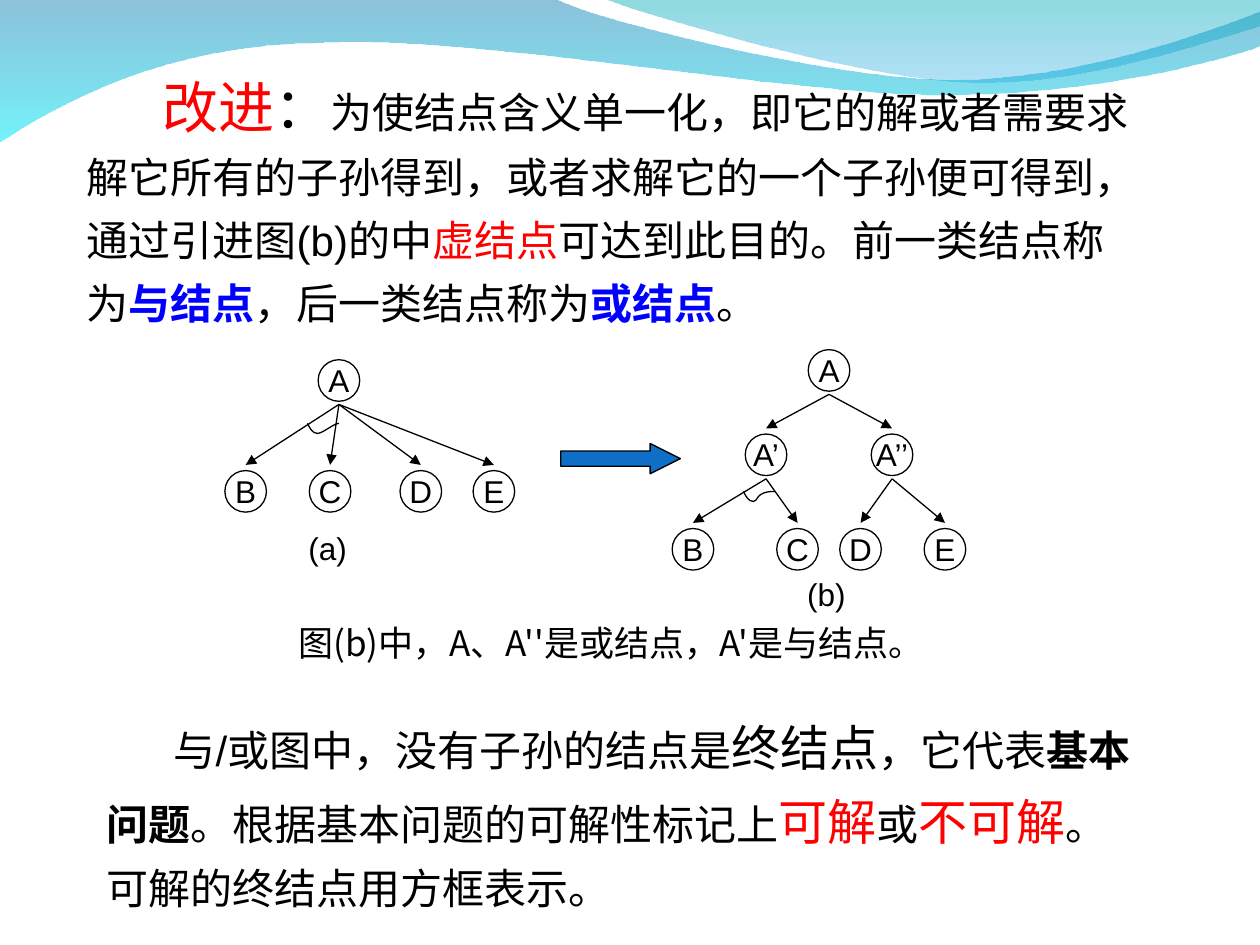
from lxml.etree import SubElement
from pptx import Presentation
from pptx.dml.color import RGBColor
from pptx.enum.shapes import MSO_CONNECTOR, MSO_SHAPE
from pptx.enum.text import MSO_ANCHOR, PP_ALIGN
from pptx.oxml.ns import qn
from pptx.util import Inches, Pt

COLORS = {"black": "000000", "red": "FF0000", "blue": "0000FF", "arrow": "0F6FC6",
          "wave_top": "0079AF", "wave_bottom": "00EBF8",
          "crest_top": "00ADB6", "crest_bottom": "009BE5"}
LATIN, CHINESE = "Arial", "Noto Sans CJK SC"

# Outlines: a start point, then segments of one point (line) or three (curve)
# Gradient stops: colour, opacity in percent
WAVES = [
    ([(0, -0.01), [(4.4, -0.01)],
      [(4.76, 0.17), (6.64, 0.63), (7.58, 0.63)],
      [(8.53, 0.63), (9.58, 0.26), (10, 0.09)], [(10.01, 0.36)],
      [(9.83, 0.44), (8.7, 0.76), (7.46, 0.75)],
      [(6.22, 0.75), (3.82, 0.28), (2.57, 0.34)],
      [(1.29, 0.35), (0.46, 0.83), (-0.01, 1.13)]],
     [("wave_top", 45), ("wave_bottom", 55)]),
    ([(4.79, -0.01),
      [(5.09, 0.11), (6.82, 0.62), (7.69, 0.65)],
      [(8.56, 0.69), (9.61, 0.32), (10, 0.21)], [(10, 0)]],
     [("crest_top", 45), ("crest_bottom", 30)]),
]

# Trees: node centres by label, edges, arc that marks the AND node, caption
TREES = [
    {"nodes": {"A": (2.69, 3.02), "B": (1.95, 3.9), "C": (2.62, 3.9),
               "D": (3.34, 3.9), "E": (3.92, 3.9)},
     "edges": [("A", "C"), ("A", "D"), ("A", "E"), ("A", "B")],
     "arc": [(2.44, 3.36), [(2.46, 3.4), (2.48, 3.44), (2.52, 3.44)],
             [(2.56, 3.44), (2.65, 3.36), (2.69, 3.36)]],
     "caption": ("(a)", 2.35, 4.15)},
    {"nodes": {"A": (6.58, 2.94), "A’": (6.08, 3.61), "A’’": (7.08, 3.61),
               "B": (5.5, 4.36), "C": (6.33, 4.36), "D": (6.83, 4.36), "E": (7.5, 4.36)},
     "edges": [("A", "A’"), ("A", "A’’"), ("A’", "B"), ("A’", "C"),
               ("A’’", "D"), ("A’’", "E")],
     "arc": [(5.9, 3.9), [(5.92, 3.94), (5.94, 3.98), (5.98, 3.98)],
             [(6.02, 3.98), (5.99, 3.9), (6.15, 3.9)]],
     "caption": ("(b)", 6.31, 4.52)},
]
NODE_SIZE, GAP_BELOW, GAP_ABOVE = 0.33, 0.19, 0.21

# Runs: text, size, latin font, colour, bold
IMPROVEMENT = [
    ("改进", 32, CHINESE, "red", False),
    ("：", 32, CHINESE, "black", False),
    ("为使结点含义单一化，即它的解或者需要求解它所有的子孙得到，或者求解它的一个子孙便可得到，"
     "通过引进图(b)的中", 24, LATIN, "black", False),
    ("虚结点", 24, CHINESE, "red", False),
    ("可达到此目的。前一类结点称为", 24, LATIN, "black", False),
    ("与结点", 24, LATIN, "blue", True),
    ("，后一类结点称为", 24, LATIN, "black", False),
    ("或结点", 24, LATIN, "blue", True),
    ("。", 24, LATIN, "black", False),
]
FIGURE_NOTE = [("图(b)中，A、A''是或结点，A'是与结点。", 20, CHINESE, "black", False)]
TERMINAL_NODES = [
    ("与/或图中，没有子孙的结点是", 24, LATIN, "black", False),
    ("终结点", 28, CHINESE, "black", False),
    ("，它代表", 24, LATIN, "black", False),
    ("基本问题", 24, LATIN, "black", True),
    ("。根据基本问题的可解性标记上", 24, LATIN, "black", False),
    ("可解", 28, CHINESE, "red", False),
    ("或", 24, LATIN, "black", False),
    ("不可解", 28, CHINESE, "red", False),
    ("。可解的终结点用方框表示。", 24, LATIN, "black", False),
]
# Text blocks: runs, place, first-line indent, line spacing
BLOCKS = [(IMPROVEMENT, (0.59, 0.39, 8.58, 2.27), 0.6, 1.25),
          (FIGURE_NOTE, (2.27, 4.88, 6.61, 0.44), 0, 1.0),
          (TERMINAL_NODES, (0.75, 5.53, 8.35, 1.77), 0.53, 1.25)]


def color(name):
    return RGBColor.from_string(COLORS[name])


def outline(shape):
    shape.shadow.inherit = False
    shape.line.color.rgb = color("black")
    shape.line.width = Pt(0.75)


def draw_freeform(page, start, segments, close):
    builder = page.shapes.build_freeform(Inches(start[0]), Inches(start[1]))
    builder.add_line_segments([(Inches(x), Inches(y)) for segment in segments
                               for x, y in segment], close=close)
    shape = builder.convert_to_shape()
    shape.shadow.inherit = False
    # Join the three points of each curve into one Bezier segment
    lines = iter(list(shape._element.iter(qn("a:lnTo"))))
    for segment in segments:
        first, *others = [next(lines) for point in segment]
        if others:
            curve = first.makeelement(qn("a:cubicBezTo"))
            first.addprevious(curve)
            for line in (first, *others):
                curve.append(line[0])
                line.getparent().remove(line)
    return shape


def draw_wave(page, points, stops):
    wave = draw_freeform(page, points[0], points[1:], True)
    wave.line.fill.background()
    wave.fill.gradient()
    wave.fill.gradient_angle = 270
    for stop, (name, opacity) in zip(wave.fill.gradient_stops, stops):
        stop.color.rgb = color(name)
    for tint, (name, opacity) in zip(wave._element.spPr.iter(qn("a:srgbClr")), stops):
        SubElement(tint, qn("a:alpha"), val=str(opacity * 1000))


def write_runs(paragraph, runs):
    for text, size, latin, name, bold in runs:
        span = paragraph.add_run()
        span.text = text
        span.font.size = Pt(size)
        span.font.bold = bold
        span.font.color.rgb = color(name)
        span.font.name = latin
        SubElement(span._r.get_or_add_rPr(), qn("a:ea"), typeface=CHINESE)


def write_label(shape, text):
    frame = shape.text_frame
    frame.word_wrap = False
    frame.margin_left = frame.margin_right = frame.margin_top = 0
    frame.margin_bottom = Inches(0.01)
    frame.vertical_anchor = MSO_ANCHOR.MIDDLE
    frame.paragraphs[0].alignment = PP_ALIGN.CENTER
    write_runs(frame.paragraphs[0], [(text, 18, LATIN, "black", False)])


def draw_tree(page, tree):
    nodes = tree["nodes"]
    for label, (x, y) in nodes.items():
        node = page.shapes.add_shape(MSO_SHAPE.OVAL, Inches(x - NODE_SIZE / 2),
                                     Inches(y - NODE_SIZE / 2), Inches(NODE_SIZE),
                                     Inches(NODE_SIZE))
        node.fill.background()
        outline(node)
        write_label(node, label)
    for parent, child in tree["edges"]:
        (x1, y1), (x2, y2) = nodes[parent], nodes[child]
        edge = page.shapes.add_connector(MSO_CONNECTOR.STRAIGHT, Inches(x1),
                                         Inches(y1 + GAP_BELOW), Inches(x2),
                                         Inches(y2 - GAP_ABOVE))
        edge.line.color.rgb = color("black")
        edge.line.width = Pt(0.75)
        SubElement(edge.line._get_or_add_ln(), qn("a:tailEnd"), type="triangle")
        SubElement(edge._element.spPr, qn("a:effectLst"))
    arc = draw_freeform(page, tree["arc"][0], tree["arc"][1:], False)
    arc.fill.background()
    outline(arc)
    text, left, top = tree["caption"]
    write_label(page.shapes.add_textbox(Inches(left), Inches(top), Inches(0.5), Inches(0.4)), text)


def main():
    deck = Presentation()
    deck.slide_width, deck.slide_height = Inches(10), Inches(7.5)
    page = deck.slides.add_slide(deck.slide_layouts[6])

    # Header waves
    for points, stops in WAVES:
        draw_wave(page, points, stops)

    # AND/OR trees
    for tree in TREES:
        draw_tree(page, tree)

    # Explanations
    for runs, place, indent, spacing in BLOCKS:
        box = page.shapes.add_textbox(*map(Inches, place))
        box.text_frame.word_wrap = True
        paragraph = box.text_frame.paragraphs[0]
        paragraph.line_spacing = spacing
        properties = paragraph._p.get_or_add_pPr()
        properties.set("indent", str(Inches(indent)))
        properties.set("hangingPunct", "0")
        write_runs(paragraph, runs)

    # Arrow from tree (a) to tree (b)
    arrow = page.shapes.add_shape(MSO_SHAPE.RIGHT_ARROW, Inches(4.45), Inches(3.52),
                                  Inches(0.95), Inches(0.24))
    arrow.adjustments[1] = 1.0
    arrow.fill.solid()
    arrow.fill.fore_color.rgb = color("arrow")
    outline(arrow)

    deck.save("out.pptx")


if __name__ == "__main__":
    main()
